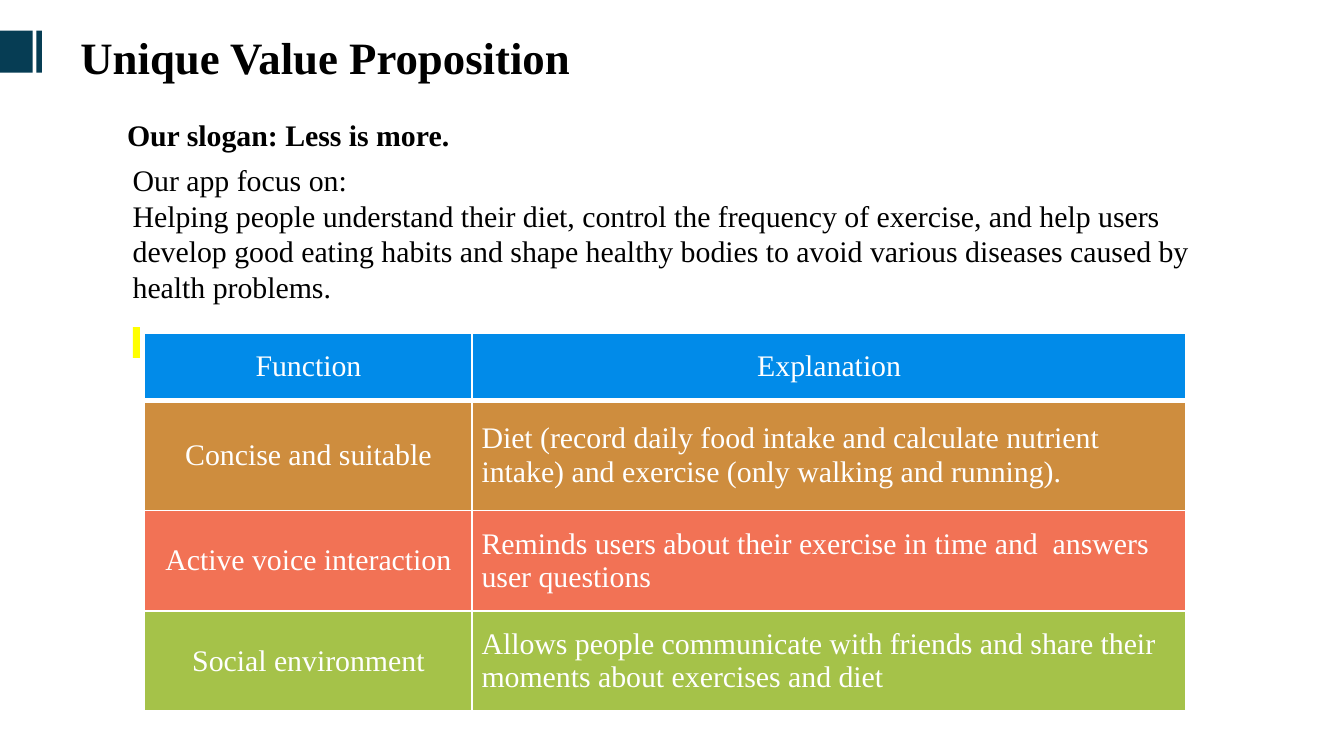
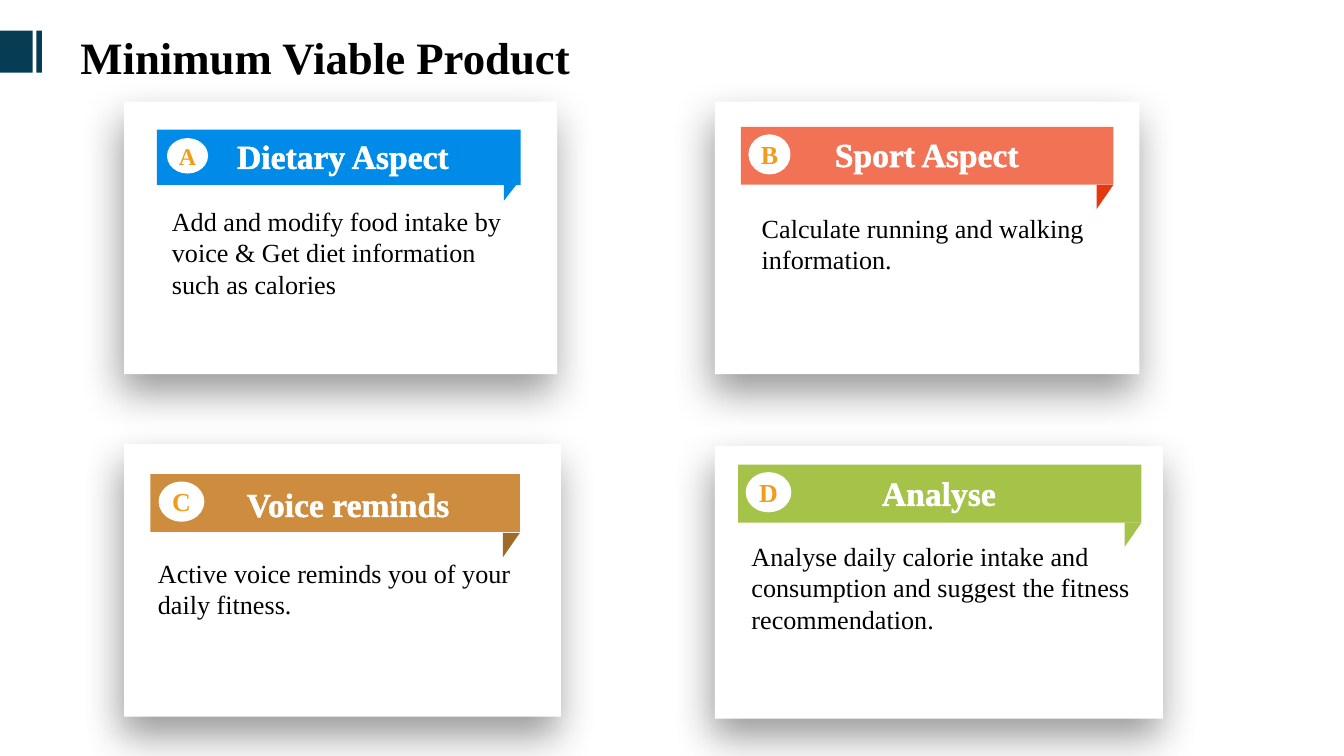
import lxml.etree
import pptx
import pptx.dml.color
import pptx.enum.shapes
import pptx.enum.text
import pptx.oxml
import pptx.oxml.ns
import pptx.util

Pt = pptx.util.Pt
qn = pptx.oxml.ns.qn
SHAPES = pptx.enum.shapes.MSO_SHAPE
ALIGN = pptx.enum.text.PP_ALIGN
ANCHOR = pptx.enum.text.MSO_ANCHOR

# Shared style
FONT = "Times New Roman"
BLACK, WHITE, NAVY, ORANGE = "000000", "FFFFFF", "063D54", "F19C1D"
BLUE, OCHRE, CORAL, GREEN = "018BE9", "CE8D3E", "F27255", "A5C249"
YELLOW = "FFFF00"
TITLE_BOX = (0, 8, 330, 38)
TITLE_BARS = [(0, 16.5, 17.5, 22.5), (19.5, 16.5, 3, 22.5)]

# Slide 1 content
SLOGAN = "Our slogan: Less is more."
FOCUS = [
    "Our app focus on:",
    "Helping people understand their diet, control the frequency of exercise, "
    "and help users develop good eating habits and shape healthy bodies to "
    "avoid various diseases caused by health problems.",
]
COLUMN_WIDTHS = [175.5, 382.5]
FUNCTIONS = [  # function, explanation, fill, row height
    ("Function", "Explanation", BLUE, 36),
    ("Concise and suitable",
     "Diet (record daily food intake and calculate nutrient intake) "
     "and exercise (only walking and running).", OCHRE, 59),
    ("Active voice interaction",
     "Reminds users about their exercise in time and  answers user questions",
     CORAL, 54),
    ("Social environment",
     "Allows people communicate with friends and share their moments "
     "about exercises and diet", GREEN, 53.5),
]

# Slide 2 content: boxes are left, top, width, height
ASPECTS = [
    dict(letter="A", name="Dietary Aspect", color=BLUE, fold_color=BLUE,
         text="Add and modify food intake by voice & Get diet information "
              "such as calories",
         card=(66.5, 54.5, 232, 146), band=(84, 69.5, 195, 29.5),
         fold=(96, 11.5), badge=(89.5, 74, 22, 19), letter_size=12.8,
         name_center=183.75, name_top=69.5, body=(85, 106.5, 204.5, 58)),
    dict(letter="B", name="Sport Aspect", color=CORAL, fold_color="E43811",
         text="Calculate running and walking information.",
         card=(383, 54.5, 227.5, 146), band=(397, 68, 199.5, 31),
         fold=(99, 13), badge=(401, 72, 22.5, 21.5), letter_size=13.9,
         name_center=496.5, name_top=68.5, body=(401, 110.25, 222.5, 41)),
    dict(letter="C", name="Voice reminds", color=OCHRE, fold_color="A06A29",
         text="Active voice reminds you of your daily fitness.",
         card=(66.5, 238, 234, 146), band=(80.5, 254, 198, 31),
         fold=(285.5, 13), badge=(85, 258, 24.5, 21.5), letter_size=13.9,
         name_center=186.5, name_top=256, body=(77.5, 295, 209, 41)),
    dict(letter="D", name="Analyse", color=GREEN, fold_color=GREEN,
         text="Analyse daily calorie intake and consumption and suggest the "
              "fitness recommendation.",
         card=(383, 239, 240, 146), band=(395.5, 249, 216, 31),
         fold=(280, 13), badge=(399.5, 253, 24.5, 21.5), letter_size=13.9,
         name_center=503, name_top=250, body=(395.5, 286, 228, 58)),
]


def rgb(color):
    return pptx.dml.color.RGBColor.from_string(color)


def points(values):
    return [Pt(value) for value in values]


def write(frame, text, size=16, color=BLACK, bold=False, align=ALIGN.LEFT,
          anchor=ANCHOR.TOP, margins=(7.2, 3.6), spacing=None, indent=0,
          outline=False):
    """Fill a text frame or table cell; a list gives one paragraph per item."""
    text_frame = getattr(frame, "text_frame", frame)
    frame.vertical_anchor = anchor
    frame.margin_left = frame.margin_right = Pt(margins[0])
    frame.margin_top = frame.margin_bottom = Pt(margins[1])
    text_frame.word_wrap = True
    lines = [text] if isinstance(text, str) else text
    for index, line in enumerate(lines):
        paragraph = (text_frame.add_paragraph() if index
                     else text_frame.paragraphs[0])
        paragraph.alignment = align
        if spacing:
            paragraph.line_spacing = spacing
        if indent:
            paragraph._p.get_or_add_pPr().set("marL", str(Pt(indent)))
        run = paragraph.add_run()
        run.text = line
        run.font.name, run.font.size, run.font.bold = FONT, Pt(size), bold
        run.font.color.rgb = rgb(color)
        if outline:
            run._r.get_or_add_rPr().insert(0, line_element("a:ln", color, 1.06))


def line_element(tag, color, width):
    line = lxml.etree.Element(qn(tag), w=str(Pt(width)))
    fill = lxml.etree.SubElement(line, qn("a:solidFill"))
    lxml.etree.SubElement(fill, qn("a:srgbClr"), val=color)
    return line


def add_text(slide, box, text, **style):
    write(slide.shapes.add_textbox(*points(box)).text_frame, text, **style)


def add_block(slide, box, color, kind=SHAPES.RECTANGLE):
    shape = slide.shapes.add_shape(kind, *points(box))
    shape.shadow.inherit = False
    shape.fill.solid()
    shape.fill.fore_color.rgb = rgb(color)
    shape.line.fill.background()
    return shape


def add_shadow(shape, alpha=40, blur=22, distance=10, angle=101):
    effects = shape._element.spPr.find(qn("a:effectLst"))
    shadow = lxml.etree.SubElement(
        effects, qn("a:outerShdw"), blurRad=str(Pt(blur)),
        dist=str(Pt(distance)), dir=str(angle * 60000), rotWithShape="0")
    color = lxml.etree.SubElement(shadow, qn("a:srgbClr"), val=BLACK)
    lxml.etree.SubElement(color, qn("a:alpha"), val=str(alpha * 1000))


def add_slide(presentation, title):
    slide = presentation.slides.add_slide(presentation.slide_layouts[6])
    for bar in TITLE_BARS:
        add_block(slide, bar, NAVY)
    add_text(slide, TITLE_BOX, title, size=24, bold=True, spacing=1.15, indent=36)
    return slide


def add_function_table(slide, left, top):
    heights = [row[-1] for row in FUNCTIONS]
    table = slide.shapes.add_table(
        len(FUNCTIONS), len(COLUMN_WIDTHS),
        *points((left, top, sum(COLUMN_WIDTHS), sum(heights)))).table
    table.horz_banding = False
    for column, width in zip(table.columns, COLUMN_WIDTHS):
        column.width = Pt(width)
    for row_index, (*texts, color, height) in enumerate(FUNCTIONS):
        table.rows[row_index].height = Pt(height)
        for column_index, text in enumerate(texts):
            cell = table.cell(row_index, column_index)
            centered = row_index == 0 or column_index == 0
            write(cell, text, color=WHITE, anchor=ANCHOR.MIDDLE, margins=(5, 3),
                  align=ALIGN.CENTER if centered else ALIGN.LEFT)
            cell.fill.solid()
            cell.fill.fore_color.rgb = rgb(color)
            # The rule under the header is thicker than the others
            widths = {"L": 1, "R": 1, "T": 3 if row_index == 1 else 1,
                      "B": 3 if row_index == 0 else 1}
            properties = cell._tc.get_or_add_tcPr()
            for position, (side, width) in enumerate(widths.items()):
                properties.insert(position, line_element("a:ln" + side, WHITE, width))


def add_aspect(slide, aspect):
    add_shadow(add_block(slide, aspect["card"], WHITE))

    # Band with its folded corner
    left, top, width, height = aspect["band"]
    add_block(slide, aspect["band"], aspect["color"])
    fold_top, fold_height = aspect["fold"]
    fold = add_block(slide, (left + width - 9, fold_top, 9, fold_height),
                     aspect["fold_color"], SHAPES.RIGHT_TRIANGLE)
    fold._element.spPr.xfrm.set("flipV", "1")

    # Letter, name and description
    badge = add_block(slide, aspect["badge"], WHITE, SHAPES.OVAL)
    write(badge.text_frame, aspect["letter"], size=aspect["letter_size"],
          color=ORANGE, bold=True, align=ALIGN.CENTER, anchor=ANCHOR.MIDDLE,
          margins=(0, 0))
    name_width = 130
    add_text(slide, (aspect["name_center"] - name_width / 2, aspect["name_top"],
                     name_width, 27.5),
             aspect["name"], size=18, color=WHITE, bold=True,
             align=ALIGN.CENTER, margins=(5, 3), outline=True)
    add_text(slide, aspect["body"], aspect["text"], size=14)


def main():
    presentation = pptx.Presentation()
    presentation.slide_width, presentation.slide_height = Pt(720), Pt(405)

    # Slide 1: slogan, focus and function table
    slide = add_slide(presentation, "Unique Value Proposition")
    add_text(slide, (61, 49.5, 200, 33), SLOGAN, bold=True, spacing=1.5)
    add_text(slide, (64, 83, 617, 114), FOCUS)
    add_block(slide, (71.25, 175.25, 3.75, 16.5), YELLOW)
    add_function_table(slide, 77.5, 178.5)

    # Slide 2: four aspect cards
    slide = add_slide(presentation, "Minimum Viable Product")
    for aspect in ASPECTS:
        add_aspect(slide, aspect)

    presentation.save("out.pptx")


if __name__ == "__main__":
    main()
